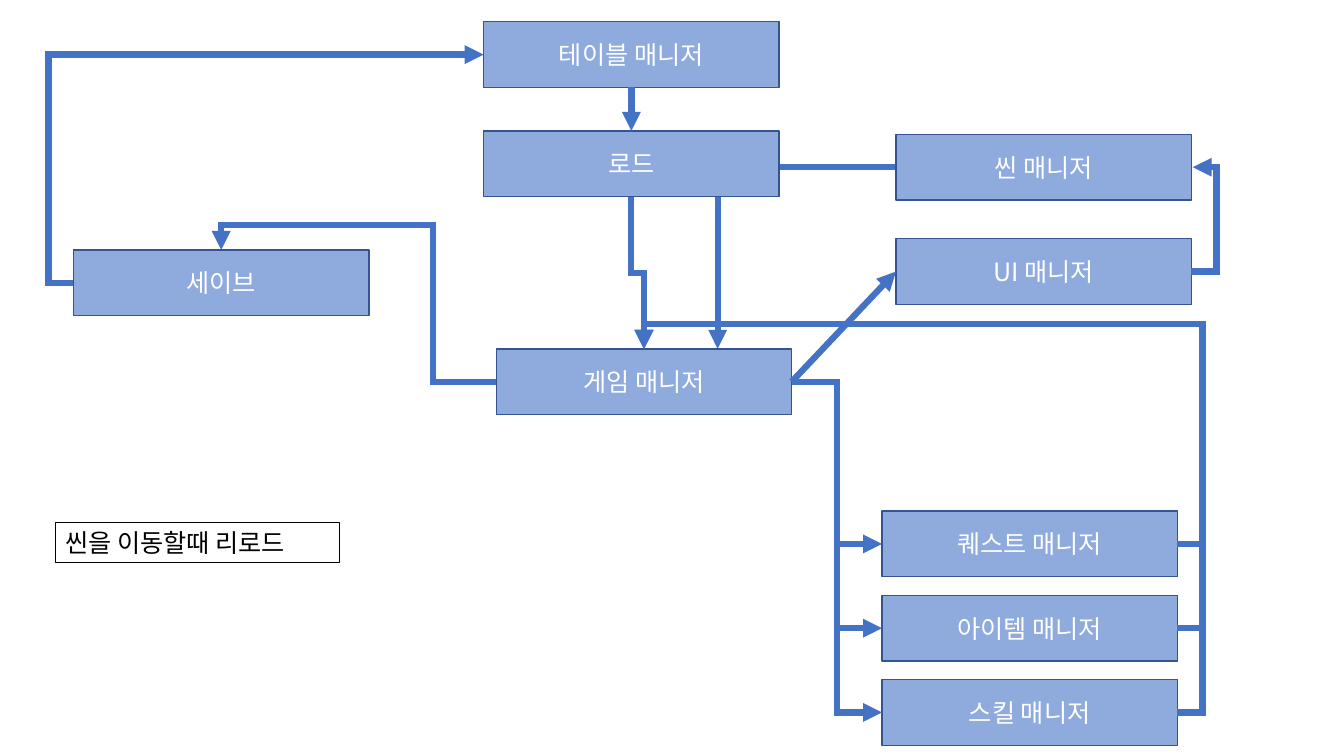
"""Build a flow diagram of game managers with glued elbow arrows."""
from lxml import etree
from pptx import Presentation
from pptx.dml.color import RGBColor
from pptx.enum.shapes import MSO_CONNECTOR, MSO_SHAPE
from pptx.enum.text import MSO_ANCHOR, MSO_AUTO_SIZE, PP_ALIGN
from pptx.oxml.ns import qn
from pptx.util import Pt

RECTANGLE = MSO_SHAPE.RECTANGLE
STRAIGHT, ELBOW = MSO_CONNECTOR.STRAIGHT, MSO_CONNECTOR.ELBOW
MIDDLE, CENTER, LEFT_ALIGN = MSO_ANCHOR.MIDDLE, PP_ALIGN.CENTER, PP_ALIGN.LEFT
GROW = MSO_AUTO_SIZE.SHAPE_TO_FIT_TEXT
TOP, LEFT, BOTTOM, RIGHT = range(4)
FONT = "Noto Sans CJK KR"
COLORS = {"box": "8FAADC", "border": "325491", "arrow": "4472C4",
          "white": "FFFFFF", "black": "000000"}
BOX_WIDTH, BOX_HEIGHT = 211, 47
LIST_TOP, LIST_STEP = 365, 60.2


def color(name):
    return RGBColor.from_string(COLORS[name])


def write(shape, text, color_name, alignment):
    shape.text_frame.text = text
    para = shape.text_frame.paragraphs[0]
    para.alignment = alignment
    span = para.runs[0]
    span.font.size = Pt(18)
    span.font.name = FONT
    span.font.color.rgb = color(color_name)
    etree.SubElement(span.font._element, qn("a:ea"), typeface=FONT)


deck = Presentation()
deck.slide_width, deck.slide_height = Pt(960), Pt(540)
page = deck.slides.add_slide(deck.slide_layouts[6])

box_data = {
    "table": ("테이블 매니저", 345.5, 15.5),
    "load": ("로드", 345.5, 93.5),
    "game": ("게임 매니저", 354.5, 249.2),
    "save": ("세이브", 52.5, 178.5),
    "ui": ("UI 매니저", 640, 170.5),
    "scene": ("씬 매니저", 640, 96),
}
managers = {"quest": "퀘스트 매니저", "item": "아이템 매니저", "skill": "스킬 매니저"}
for index, (key, label) in enumerate(managers.items()):
    box_data[key] = (label, 630, LIST_TOP + index * LIST_STEP)

boxes = {}
for key, (label, left, top) in box_data.items():
    box = page.shapes.add_shape(RECTANGLE, Pt(left), Pt(top), Pt(BOX_WIDTH), Pt(BOX_HEIGHT))
    box.shadow.inherit = False
    box.fill.solid()
    box.fill.fore_color.rgb = color("box")
    box.line.color.rgb = color("border")
    box.line.width = Pt(1)
    box.text_frame.vertical_anchor = MIDDLE
    write(box, label, "white", CENTER)
    boxes[key] = box

note = page.shapes.add_textbox(Pt(39.5), Pt(373), Pt(203), Pt(29))
note.line.color.rgb = color("black")
note.line.width = Pt(0.75)
note.text_frame.word_wrap = True
note.text_frame.auto_size = GROW
write(note, "씬을 이동할때 리로드", "black", LEFT_ALIGN)

# start, start side, end box or point, end side, preset, rotation, flips, bends
routes = [
    ("scene", LEFT, (512.6, 249.2), None, "bentConnector2", 180, "v", []),
    ("save", LEFT, "table", LEFT, "bentConnector3", 180, "h", [-0.061]),
    ("table", BOTTOM, "load", TOP, "bentConnector3", 90, "", [0.5]),
    ("load", BOTTOM, "game", TOP, "bentConnector3", 270, "h", [0.5]),
    ("game", LEFT, "save", TOP, "bentConnector4", 180, "", [0.231, 1.191]),
    ("game", RIGHT, "ui", LEFT, "line", 0, "v", []),
    ("ui", RIGHT, (852, 119.5), None, "bentConnector3", 0, "v", [18]),
]
for key, rise in zip(managers, (1.129, 1.09, 1.069)):
    routes.append(("game", RIGHT, key, LEFT, "bentConnector3", 0, "", [0.5]))
    routes.append((key, RIGHT, "game", TOP, "bentConnector4", 0, "hv", [-0.047, rise]))

for start, start_side, end, end_side, preset, rotation, flips, bends in routes:
    kind = STRAIGHT if preset == "line" else ELBOW
    end_point = (0, 0) if end_side is not None else end
    arrow = page.shapes.add_connector(kind, 0, 0, Pt(end_point[0]), Pt(end_point[1]))
    arrow.begin_connect(boxes[start], start_side)
    if end_side is not None:
        arrow.end_connect(boxes[end], end_side)

    center_x = (arrow.begin_x + arrow.end_x) // 2
    center_y = (arrow.begin_y + arrow.end_y) // 2
    width, height = abs(arrow.end_x - arrow.begin_x), abs(arrow.end_y - arrow.begin_y)
    if rotation in (90, 270):
        width, height = height, width
    arrow.left, arrow.top = center_x - width // 2, center_y - height // 2
    arrow.width, arrow.height = width, height

    properties = arrow._element.spPr
    frame = properties.find(qn("a:xfrm"))
    frame.set("rot", str(rotation * 60000))
    frame.set("flipH", str(int("h" in flips)))
    frame.set("flipV", str(int("v" in flips)))
    geometry = properties.find(qn("a:prstGeom"))
    geometry.set("prst", preset)
    guides = geometry.find(qn("a:avLst"))
    for number, bend in enumerate(bends, 1):
        etree.SubElement(guides, qn("a:gd"), name=f"adj{number}",
                         fmla=f"val {round(bend * 100000)}")

    arrow.line.color.rgb = color("arrow")
    arrow.line.width = Pt(4.5)
    outline = properties.find(qn("a:ln"))
    etree.SubElement(outline, qn("a:miter"), lim="800000")
    etree.SubElement(outline, qn("a:tailEnd"), type="triangle")
    etree.SubElement(properties, qn("a:effectLst"))
    if start == "scene":
        boxes["table"]._element.addprevious(arrow._element)

deck.save("out.pptx")
